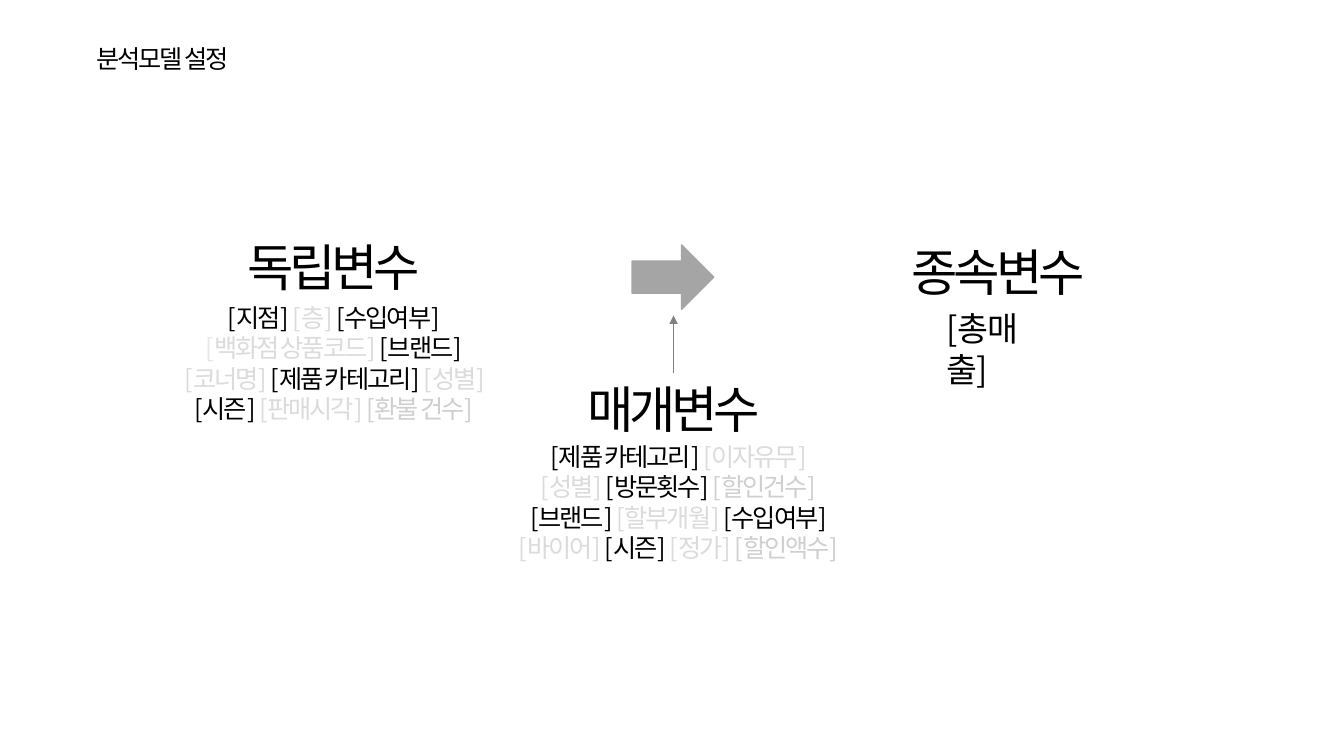
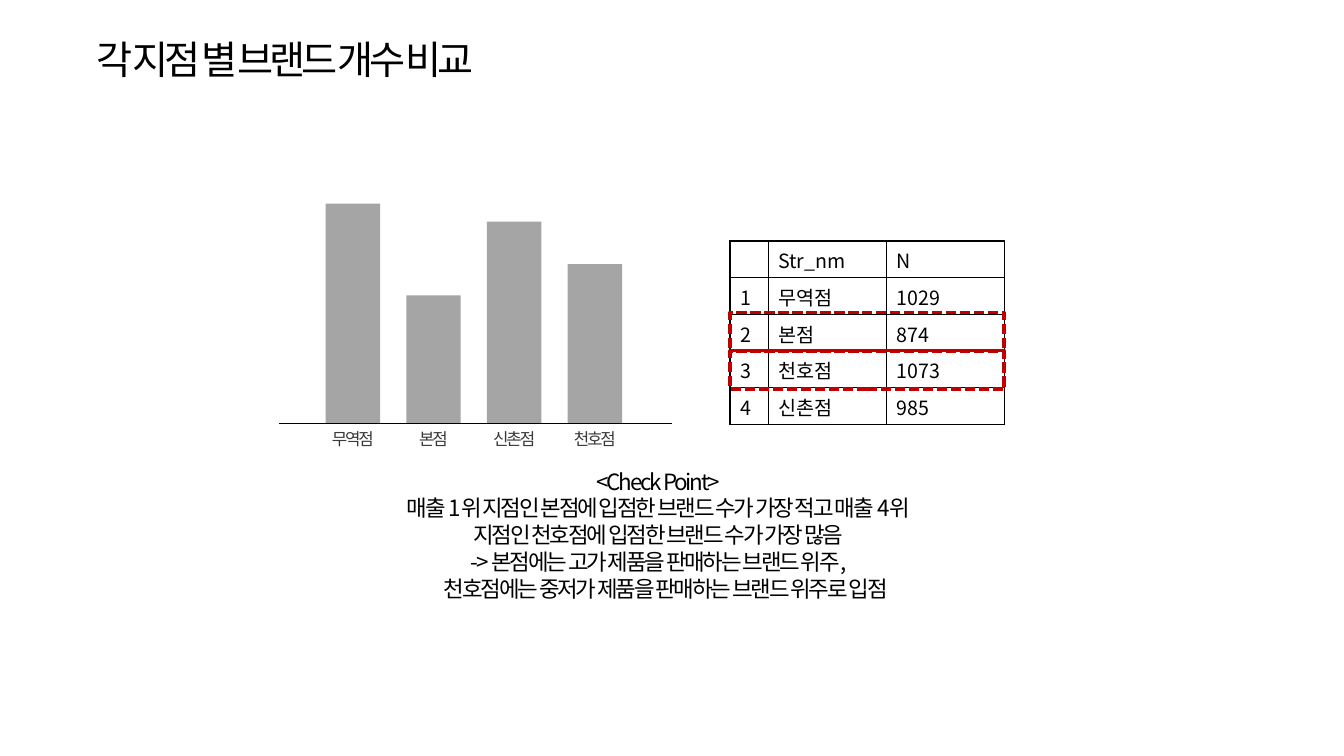
from lxml import etree
from pptx import Presentation
from pptx import util as u
from pptx.dml.color import RGBColor
from pptx.enum import dml, shapes, text
from pptx.oxml import ns

FONT = "Noto Sans CJK KR"
BLACK = RGBColor(0x00, 0x00, 0x00)
WHITE = RGBColor(0xFF, 0xFF, 0xFF)
INK = RGBColor(0x3B, 0x38, 0x38)
GRAY = RGBColor(0xA5, 0xA5, 0xA5)
STEM = RGBColor(0x80, 0x80, 0x80)
PALE = RGBColor(0xDB, 0xDB, 0xDB)
DIM = RGBColor(0xD0, 0xCE, 0xCE)
FAINT = RGBColor(0xE7, 0xE6, 0xE6)
RED = RGBColor(0xC0, 0x00, 0x00)

LEFT, MID = text.PP_ALIGN.LEFT, text.PP_ALIGN.CENTER
FRAME = {"word_wrap": True, "auto_size": text.MSO_AUTO_SIZE.SHAPE_TO_FIT_TEXT}
PLAIN = {"first_row": False, "horz_banding": False}
HEAD = {"size": 36, "gap": -3}
BODY = {"size": 18, "gap": -1.5}
TOTAL = {"size": 24, "gap": -3, "align": LEFT}
NOTE = {"size": 16, "gap": -1.5}
LABEL = {"size": 12, "gap": -1.5}
CELL = {"size": 14, "gap": 0, "align": LEFT}

FREE = [
    [("[지점] ", BLACK), ("[층] ", PALE), ("[수입여부]", BLACK)],
    [("[", FAINT), ("백화점 상품코드] ", PALE), ("[브랜드]", BLACK)],
    [("[코너명] ", PALE), ("[제품 카테고리] ", BLACK), ("[성별] ", PALE),
     ("[시즌] ", BLACK), ("[판매시각] ", PALE), ("[환불 건수]", DIM)],
]
MEDIAN = [
    [("[제품 카테고리] ", BLACK), ("[이자유무]", PALE)],
    [("[성별] ", PALE), ("[방문횟수] ", BLACK), ("[할인건수]", DIM)],
    [("[브랜드]", BLACK), (" [할부개월] ", PALE), ("[수입여부]", BLACK)],
    [("[바이어] ", PALE), ("[시즌] ", BLACK), ("[정가] ", PALE), ("[할인액수]", DIM)],
]
BARS = [("무역점", 2.18), ("본점", 1.27), ("신촌점", 2.0), ("천호점", 1.58)]
ROWS = [
    ("", "Str_nm", "N"),
    ("1", "무역점", "1029"),
    ("2", "본점", "874"),
    ("3", "천호점", "1073"),
    ("4", "신촌점", "985"),
]
CHECK = [
    "<Check Point>",
    "매출 1위 지점인 본점에 입점한 브랜드 수가 가장 적고 매출 4위",
    "지점인 천호점에 입점한 브랜드 수가 가장 많음",
    "-> 본점에는 고가 제품을 판매하는 브랜드 위주,",
    "천호점에는 중저가 제품을 판매하는 브랜드 위주로 입점",
]


def apply(item, form):
    for name, value in form.items():
        setattr(item, name, value)


def inch(*sizes):
    return [u.Inches(size) for size in sizes]


def write(frame, lines, size, gap, align=MID, color=BLACK):
    for i, line in enumerate(lines):
        para = frame.paragraphs[0] if i == 0 else frame.add_paragraph()
        para.alignment = align
        for words, tint in [(line, color)] if isinstance(line, str) else line:
            if not words:
                end = etree.SubElement(para._p, ns.qn("a:endParaRPr"))
                end.set("sz", str(size * 100))
                continue
            run = para.add_run()
            run.text = words
            apply(run.font, {"name": FONT, "size": u.Pt(size)})
            run.font.color.rgb = tint
            props = run.font._element
            if gap:
                props.set("spc", str(int(gap * 100)))
            east = etree.Element(ns.qn("a:ea"), typeface=FONT)
            props.find(ns.qn("a:latin")).addnext(east)


def label(slide, box, lines, form):
    area = slide.shapes.add_textbox(*inch(*box))
    apply(area.text_frame, FRAME)
    write(area.text_frame, lines, **form)
    return area


def block(slide, kind, box, fill=None, edge=None, width=1, dash=None):
    item = slide.shapes.add_shape(kind, *inch(*box))
    item.shadow.inherit = False
    for part, tint in ((item.fill, fill), (item.line.fill, edge)):
        if tint is None:
            part.background()
        else:
            part.solid()
            part.fore_color.rgb = tint
    if edge is not None:
        apply(item.line, {"width": u.Pt(width), "dash_style": dash})
    return item


def link(slide, start, stop, color, width, tip=False):
    line = slide.shapes.add_connector(
        shapes.MSO_CONNECTOR.STRAIGHT, *inch(*start, *stop))
    line.line.color.rgb = color
    line.line.width = u.Pt(width)
    if tip:
        etree.SubElement(line.line._get_or_add_ln(), ns.qn("a:tailEnd"), type="triangle")
    etree.SubElement(line._element.spPr, ns.qn("a:effectLst"))
    return line


def page(deck, title, size, gap):
    slide = deck.slides.add_slide(deck.slide_layouts[6])
    slide.background.fill.solid()
    slide.background.fill.fore_color.rgb = WHITE
    high = 0.1 + size / 60
    label(slide, (0.86, 0.58 - high / 2, 6.65, high), [title],
          {"size": size, "gap": gap, "align": LEFT})
    return slide


def group(slide, box, name, lines, drop, wide, form=BODY, shift=0):
    x, y, w, h = box
    head = label(slide, box, [name], HEAD)
    left = x + (w - wide) / 2 + shift
    label(slide, (left, y + drop, wide, 1.31), lines, form)
    return head


def model(deck):
    slide = page(deck, "분석모델 설정", 18, -1.5)
    group(slide, (2.07, 2.29, 2.48, 0.71), "독립변수", FREE, 0.66, 3.32)
    group(slide, (8.66, 2.34, 2.48, 0.71), "종속변수", ["[총 매출]"], 0.67, 1.23, TOTAL)
    head = group(slide, (5.44, 3.7, 2.48, 0.71), "매개변수", MEDIAN, 0.63, 3.68, shift=0.05)
    block(slide, shapes.MSO_SHAPE.RIGHT_ARROW, (6.27, 2.43, 0.81, 0.64), GRAY, GRAY)
    stem = link(slide, (6.68, 3.7), (6.68, 3.13), STEM, 0.5, tip=True)
    stem.begin_connect(head, 0)


def bars(slide, box):
    x, y, w, h = box
    base, wide, step = y + h, 0.54, 0.8
    for i, (name, tall) in enumerate(BARS):
        left = x + 0.46 + step * i
        block(slide, shapes.MSO_SHAPE.RECTANGLE, (left, base - tall, wide, tall), GRAY)
        label(slide, (left + wide / 2 - 0.34, base, 0.68, 0.3), [name],
              {**LABEL, "color": INK})
    link(slide, (x, base), (x + w, base), BLACK, 1)


def border(cell):
    props = cell._tc.get_or_add_tcPr()
    for i, side in enumerate("LRTB"):
        line = etree.Element(ns.qn("a:ln" + side), w=str(u.Pt(1)))
        fill = etree.SubElement(line, ns.qn("a:solidFill"))
        etree.SubElement(fill, ns.qn("a:srgbClr"), val=str(BLACK))
        props.insert(i, line)


def counts(slide, box):
    x, y, w, h = box
    grid = slide.shapes.add_table(len(ROWS), 3, *inch(*box)).table
    apply(grid, PLAIN)
    for col, wide in zip(grid.columns, (0.38, 1.17, 1.17)):
        col.width = u.Inches(wide)
    for r, row in enumerate(ROWS):
        for c, words in enumerate(row):
            cell = grid.cell(r, c)
            cell.fill.background()
            border(cell)
            write(cell.text_frame, [words], **CELL)
    for i in range(2):
        block(slide, shapes.MSO_SHAPE.RECTANGLE, (x, y + 0.71 + 0.38 * i, w, 0.38),
              edge=RED, width=2.5, dash=dml.MSO_LINE.SQUARE_DOT)


def stores(deck):
    slide = page(deck, "각 지점 별 브랜드 개수 비교", 28, -3)
    bars(slide, (2.77, 2.02, 3.9, 2.18))
    counts(slide, (7.24, 2.39, 2.72, 1.82))
    note = label(slide, (3.67, 4.59, 5.72, 1.45), CHECK, NOTE)
    last = note.text_frame.paragraphs[-1]
    last._p.get_or_add_pPr().set("marL", str(u.Inches(0.15)))


def main():
    deck = Presentation()
    apply(deck, {"slide_width": u.Inches(13.33), "slide_height": u.Inches(7.5)})
    model(deck)
    stores(deck)
    deck.save("out.pptx")


if __name__ == "__main__":
    main()
